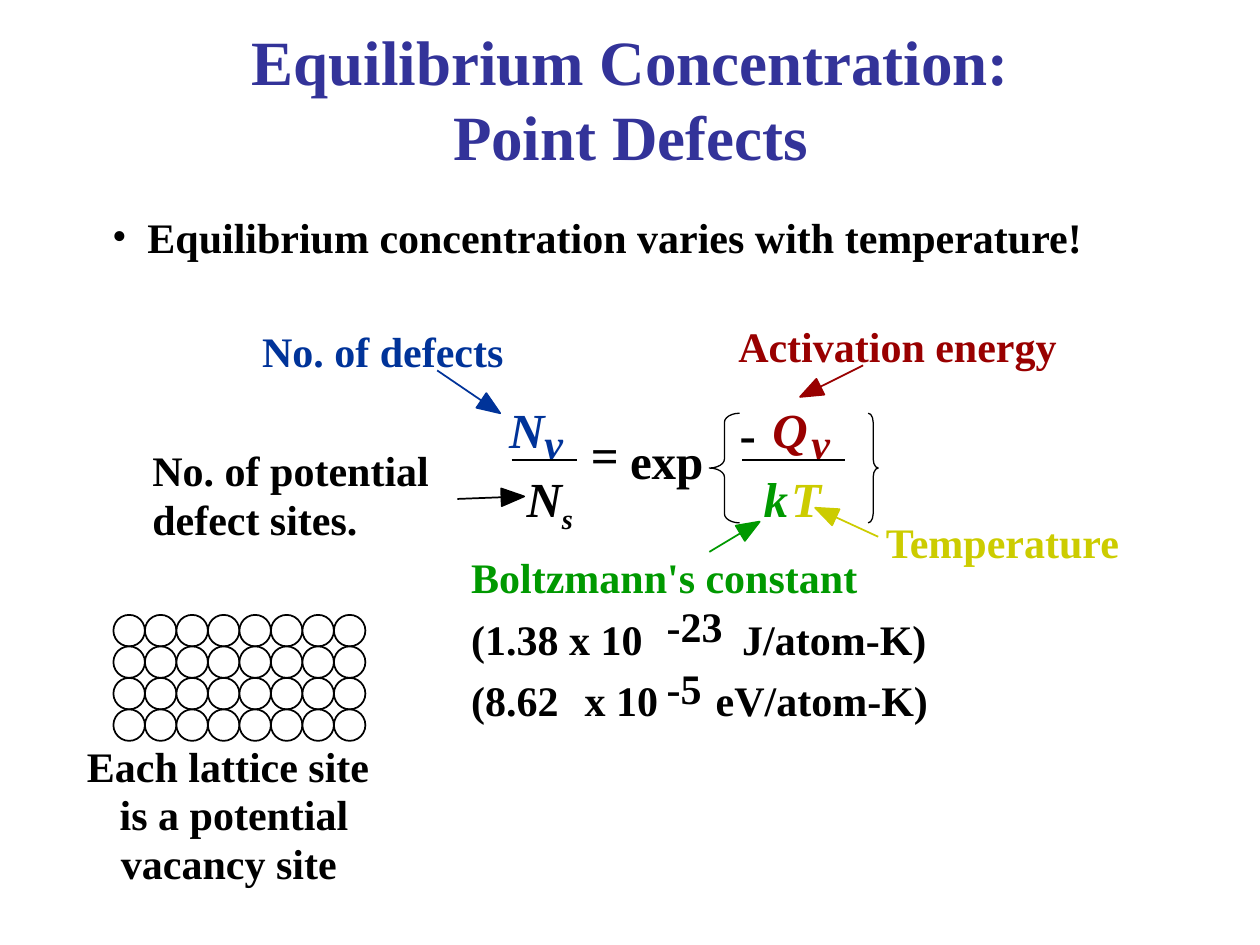
import math
import lxml.etree
import pptx
import pptx.dml.color
import pptx.enum.shapes
import pptx.enum.text
import pptx.oxml.ns
import pptx.util

colors = {"black": "000000", "white": "FFFFFF", "title": "333399", "defects": "003399",
          "energy": "990000", "boltzmann": "009900", "temperature": "CCCC00"}
rgb = {name: pptx.dml.color.RGBColor.from_string(code) for name, code in colors.items()}
qn = pptx.oxml.ns.qn
shape_kind = pptx.enum.shapes.MSO_SHAPE
typeface = "Times New Roman"

deck = pptx.Presentation()
deck.slide_width = pptx.util.Inches(10)
deck.slide_height = pptx.util.Inches(7.5)
col = deck.slide_width // 1000
row = deck.slide_height // 750
slide = deck.slides.add_slide(deck.slide_layouts[5])


def format_text(frame, color, size, italic=False, margin=0):
    frame_format = {"margin_left": 10 * margin * col, "margin_right": 10 * margin * col,
                    "margin_top": 5 * margin * row, "margin_bottom": 5 * margin * row}
    for key, value in frame_format.items():
        setattr(frame, key, value)
    font_format = {"name": typeface, "size": pptx.util.Pt(size),
                   "bold": True, "italic": italic}
    for run in frame.paragraphs[0].runs:
        for key, value in font_format.items():
            setattr(run.font, key, value)
        run.font.color.rgb = rgb[color]


def draw_line(shapes, x1, y1, x2, y2, color):
    line = shapes.add_connector(pptx.enum.shapes.MSO_CONNECTOR.STRAIGHT,
                                round(x1 * col), round(y1 * row),
                                round(x2 * col), round(y2 * row))
    line.line.color.rgb = rgb[color]
    line.line.width = pptx.util.Pt(1)
    lxml.etree.SubElement(line._element.spPr, qn("a:effectLst"))


title = slide.shapes.title
title_place = {"left": 43 * col, "top": 0, "width": 915 * col, "height": 155 * row}
for key, value in title_place.items():
    setattr(title, key, value)
heading = title.text_frame
heading.text = "Equilibrium Concentration:\vPoint Defects"
heading.auto_size = pptx.enum.text.MSO_AUTO_SIZE.NONE
heading.vertical_anchor = pptx.enum.text.MSO_ANCHOR.MIDDLE
heading.paragraphs[0].alignment = pptx.enum.text.PP_ALIGN.CENTER
format_text(heading, "title", 36, margin=1)

labels = [
    ("Equilibrium concentration varies with temperature!", 89, 168, 771, "black", 24, False),
    ("No. of defects", 208, 258, 194, "defects", 24, False),
    ("No. of potential", 121, 353, 230, "black", 24, False),
    ("defect sites.", 121, 392, 166, "black", 24, False),
    ("Activation energy", 586, 254, 256, "energy", 24, False),
    ("Temperature", 703, 410, 192, "temperature", 24, False),
    ("Boltzmann's constant", 374, 438, 310, "boltzmann", 24, False),
    ("(1.38 x 10", 374, 487, 140, "black", 24, False),
    ("-23", 529, 477, 48, "black", 24, False),
    ("J/atom-K)", 589, 487, 158, "black", 24, False),
    ("(8.62", 374, 535, 73, "black", 24, False),
    ("x 10", 464, 535, 62, "black", 24, False),
    ("-5", 529, 526, 31, "black", 24, False),
    ("eV/atom-K)", 568, 535, 172, "black", 24, False),
    ("N", 404, 317, 28, "defects", 28, True),
    ("v", 432, 331, 15, "defects", 24, True),
    ("Ns", 418, 372, 40, "black", 28, True),
    ("=", 469, 337, 22, "black", 28, False),
    ("exp", 500, 342, 62, "black", 28, False),
    ("-", 587, 320, 13, "black", 28, False),
    ("Q", 613, 317, 28, "energy", 28, True),
    ("v", 644, 331, 15, "energy", 24, True),
    ("k", 606, 372, 19, "boltzmann", 28, True),
    ("T", 628, 372, 24, "temperature", 28, True),
    ("Each lattice site", 69, 588, 235, "black", 24, False),
    ("is a potential", 95, 626, 193, "black", 24, False),
    ("vacancy site", 96, 665, 176, "black", 24, False),
]
for words, x, y, width, color, size, italic in labels:
    label = slide.shapes.add_textbox(x * col, y * row, width * col, size * 5 // 3 * row)
    frame = label.text_frame
    frame.word_wrap = False
    frame.auto_size = pptx.enum.text.MSO_AUTO_SIZE.SHAPE_TO_FIT_TEXT
    paragraph = frame.paragraphs[0]
    if words.startswith("Equilibrium"):
        properties = paragraph._p.get_or_add_pPr()
        properties.set("marL", str(28 * col))
        properties.set("indent", str(-28 * col))
        lxml.etree.SubElement(properties, qn("a:buFont"), typeface=typeface)
        lxml.etree.SubElement(properties, qn("a:buChar"), char="•")
    if words == "Ns":
        paragraph.add_run().text = "N"
        subscript = paragraph.add_run()
        subscript.text = "s"
        subscript.font._element.set("baseline", "-25000")
    else:
        paragraph.add_run().text = words
    format_text(frame, color, size, italic)

for start, end in [(406, 458), (589, 671)]:
    draw_line(slide.shapes, start, 365, end, 365, "black")

head_length, head_half = 18, 7
arrows = [
    (347, 294, 397, 328, "defects"),
    (363, 396, 416, 394, "black"),
    (685, 290, 635, 315, "energy"),
    (697, 426, 647, 403, "temperature"),
    (563, 438, 603, 414, "boltzmann"),
]
for x1, y1, x2, y2, color in arrows:
    arrow = slide.shapes.add_group_shape()
    reach = math.hypot(x2 - x1, y2 - y1)
    dx, dy = (x2 - x1) / reach, (y2 - y1) / reach
    neck_x, neck_y = x2 - head_length * dx, y2 - head_length * dy
    corners = [(neck_x + side * head_half * dy, neck_y - side * head_half * dx)
               for side in (-1, 1)]
    builder = arrow.shapes.build_freeform(x2 * col, y2 * row)
    builder.add_line_segments([(round(x * col), round(y * row)) for x, y in corners])
    head = builder.convert_to_shape()
    head.shadow.inherit = False
    head.fill.solid()
    head.fill.fore_color.rgb = rgb[color]
    head.line.color.rgb = rgb[color]
    head.line.width = pptx.util.Pt(1)
    draw_line(arrow.shapes, x1, y1, neck_x, neck_y, color)

lattice = slide.shapes.add_group_shape()
site_size = 25
for level in range(4):
    for place in range(8):
        site = lattice.shapes.add_shape(
            shape_kind.OVAL, (90 + place * site_size) * col, (488 + level * site_size) * row,
            site_size * col, site_size * row)
        site.shadow.inherit = False
        site.fill.solid()
        site.fill.fore_color.rgb = rgb["white"]
        site.line.color.rgb = rgb["black"]
        site.line.width = pptx.util.Pt(1)

for kind, x, width, curve in [(shape_kind.LEFT_BRACE, 563, 24, 0.3),
                              (shape_kind.RIGHT_BRACE, 689, 8, 0.9)]:
    brace = slide.shapes.add_shape(kind, x * col, 328 * row, width * col, 87 * row)
    brace.adjustments[0] = curve
    brace.shadow.inherit = False
    brace.fill.background()
    brace.line.color.rgb = rgb["black"]
    brace.line.width = pptx.util.Pt(0.75)

deck.save("out.pptx")
